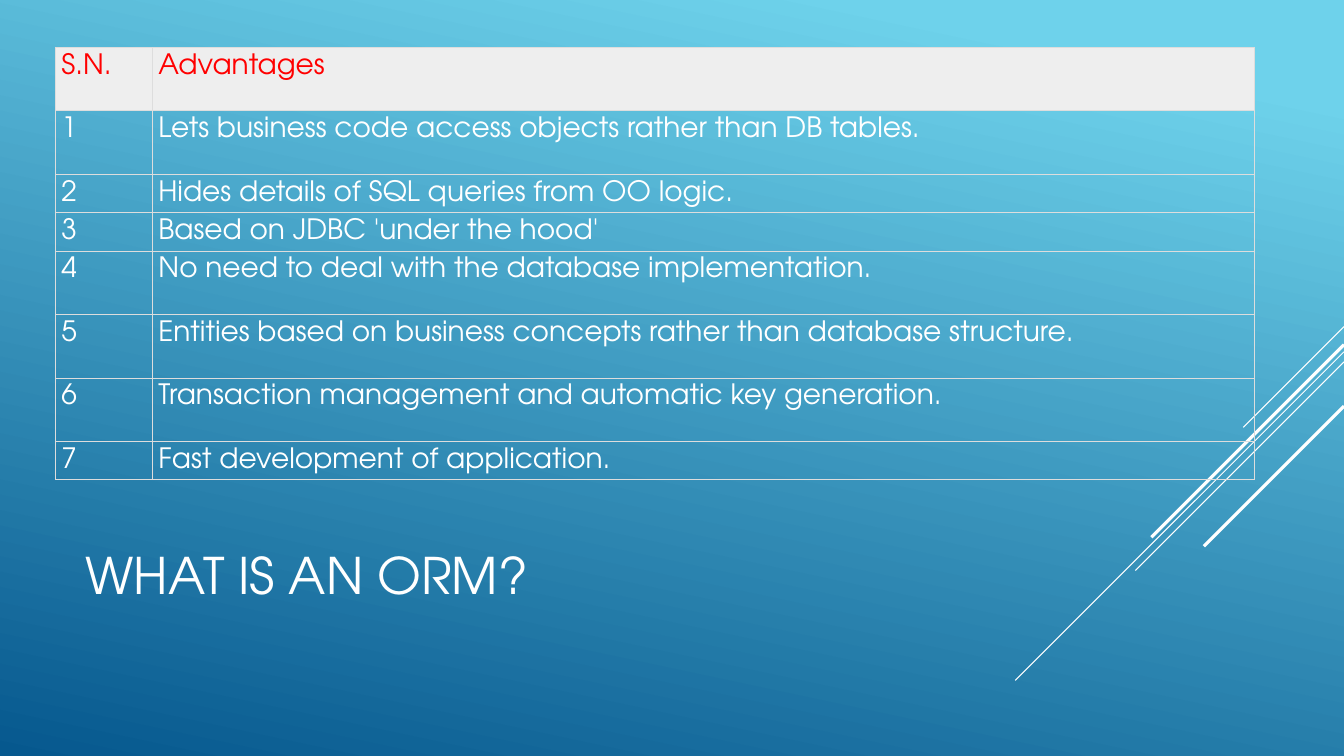
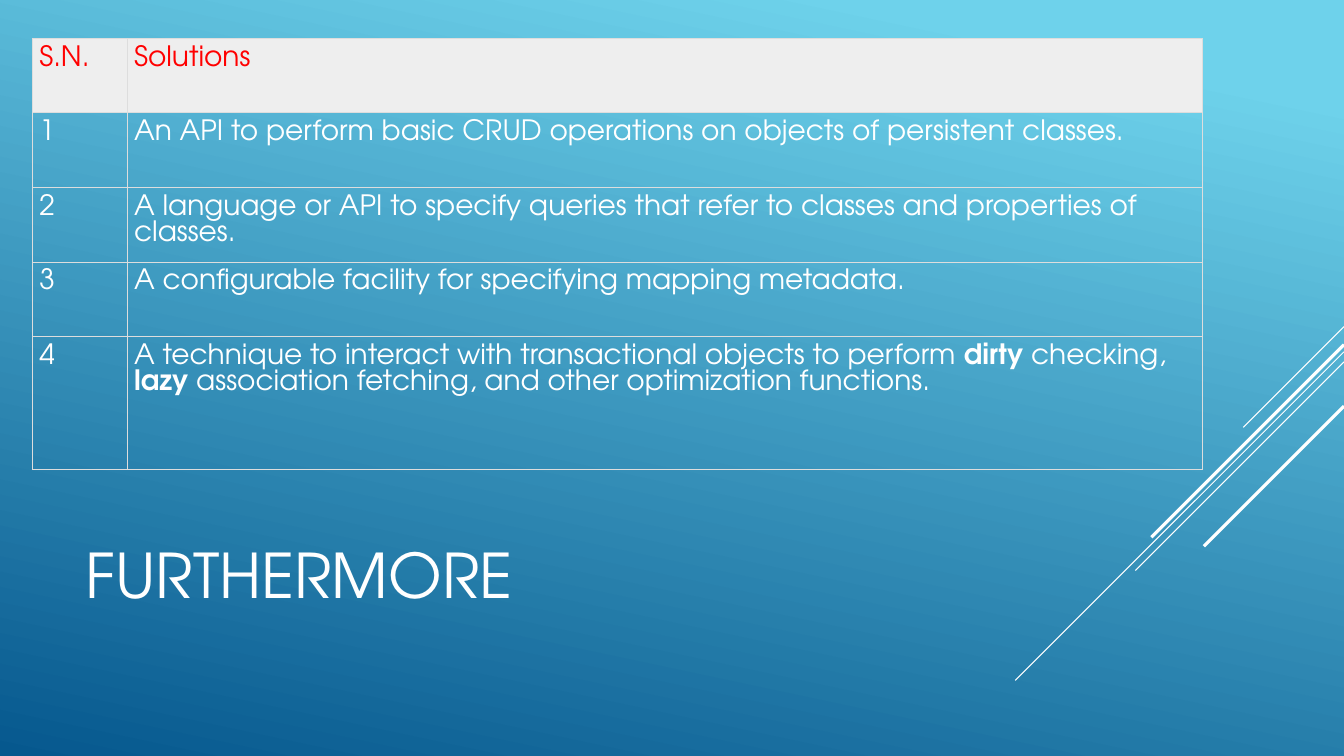
from lxml.etree import SubElement
from pptx import Presentation
from pptx.dml.color import RGBColor
from pptx.enum.text import MSO_ANCHOR
from pptx.oxml import parse_xml
from pptx.oxml.ns import nsdecls, qn
from pptx.util import Emu, Pt

WIDTH, HEIGHT = 1333, 750
FONT = "TeX Gyre Adventor"
WHITE, RED, HEADER, BORDER = "FFFFFF", "FF0000", "EEEEEE", "DDDDDD"
GRADIENT = ((0.1, "6ED2EB"), (1, "06588E"))
DIAGONALS = ((324, 100, 0.75), (349, 326, 0.75), (359, 207, 0.75), (342, 191, 2.25), (403, 139, 2.25))

ADVANTAGES = (
    "Advantages",
    "Lets business code access objects rather than DB tables.",
    "Hides details of SQL queries from OO logic.",
    "Based on JDBC 'under the hood'",
    "No need to deal with the database implementation.",
    "Entities based on business concepts rather than database structure.",
    "Transaction management and automatic key generation.",
    "Fast development of application.",
)
SOLUTIONS = (
    "Solutions",
    "An API to perform basic CRUD operations on objects of persistent classes.",
    "A language or API to specify queries that refer to classes and properties of classes.",
    "A configurable facility for specifying mapping metadata.",
    "A technique to interact with transactional objects to perform **dirty** checking, "
    "**lazy** association fetching, and other optimization functions.",
)


def px(length):
    """Turn px, at 100 to the inch, into EMU."""
    return Emu(length * 9144)


def color(value):
    """Turn a hex string into a colour."""
    return RGBColor.from_string(value)


class Deck:
    """Hold the shared style and the current slide."""

    def __init__(self):
        """Start an empty deck of the right size."""
        self.deck = Presentation()
        self.deck.slide_width, self.deck.slide_height = px(WIDTH), px(HEIGHT)
        self.slide = None

    def page(self, title, size):
        """Add a slide with the gradient, the diagonals and a title."""
        self.slide = self.deck.slides.add_slide(self.deck.slide_layouts[6])
        fill = self.slide.background.fill
        fill.gradient()
        fill.gradient_angle = 258
        for stop, (position, value) in zip(fill.gradient_stops, GRADIENT):
            stop.position = position
            stop.color.rgb = color(value)
        for top, reach, weight in DIAGONALS:
            self.diagonal(top, reach, weight)
        self.title(title, size)

    def diagonal(self, top, reach, weight):
        """Draw a 45 degree line down from the right edge."""
        line = self.slide.shapes.add_connector(1, px(WIDTH), px(top), px(WIDTH - reach), px(top + reach))
        line.line.color.rgb = color(WHITE)
        line.line.width = Pt(weight)
        SubElement(line._element.spPr, qn("a:effectLst"))

    def title(self, text, size):
        """Add the title at the foot of the slide."""
        frame = self.slide.shapes.add_textbox(px(75), px(491), px(933), px(165)).text_frame
        frame.word_wrap = True
        frame.vertical_anchor = MSO_ANCHOR.MIDDLE
        self.paragraph(frame, text, size, WHITE, 0.9)

    def paragraph(self, frame, text, size, value, spacing):
        """Set one paragraph, with bold between double asterisks."""
        para = frame.paragraphs[0]
        para.line_spacing = spacing
        for index, part in enumerate(text.split("**")):
            span = para.add_run()
            span.text = part
            span.font.name = FONT
            span.font.size = Pt(size)
            span.font.bold = index % 2 == 1
            span.font.color.rgb = color(value)

    def table(self, left, top, widths, heights, inset, texts):
        """Add a numbered table whose first row is the header."""
        table = self.slide.shapes.add_table(
            len(heights), len(widths), px(left), px(top), px(sum(widths)), px(sum(heights))
        ).table
        table.first_row = table.horz_banding = False
        for column, width in zip(table.columns, widths):
            column.width = px(width)
        for number, (row, height, text) in enumerate(zip(table.rows, heights, texts)):
            row.height = px(height)
            for cell, content in zip(row.cells, (str(number or "S.N."), text)):
                self.cell(cell, content, inset, number == 0)

    def cell(self, cell, text, inset, header):
        """Fill and frame one table cell and set its text."""
        cell.margin_left = cell.margin_right = cell.margin_top = cell.margin_bottom = px(inset)
        if header:
            cell.fill.solid()
            cell.fill.fore_color.rgb = color(HEADER)
        else:
            cell.fill.background()
        properties = cell._tc.get_or_add_tcPr()
        for index, side in enumerate("LRTB"):
            border = parse_xml(
                f'<a:ln{side} {nsdecls("a")} w="{Pt(0.75)}"><a:solidFill>'
                f'<a:srgbClr val="{BORDER}"/></a:solidFill></a:ln{side}>'
            )
            properties.insert(index, border)
        self.paragraph(cell.text_frame, text, 20, RED if header else WHITE, Pt(18.75))


def main():
    """Build both slides and save them."""
    deck = Deck()
    deck.page("WHAT IS AN ORM?", 36)
    deck.table(55, 47, (96, 1093), (63, 63, 38, 38, 63, 63, 63, 38), 6, ADVANTAGES)
    deck.page("FURTHERMORE", 44)
    deck.table(32, 38, (94, 1067), (74, 74, 74, 74, 132), 7, SOLUTIONS)
    deck.deck.save("out.pptx")


if __name__ == "__main__":
    main()
